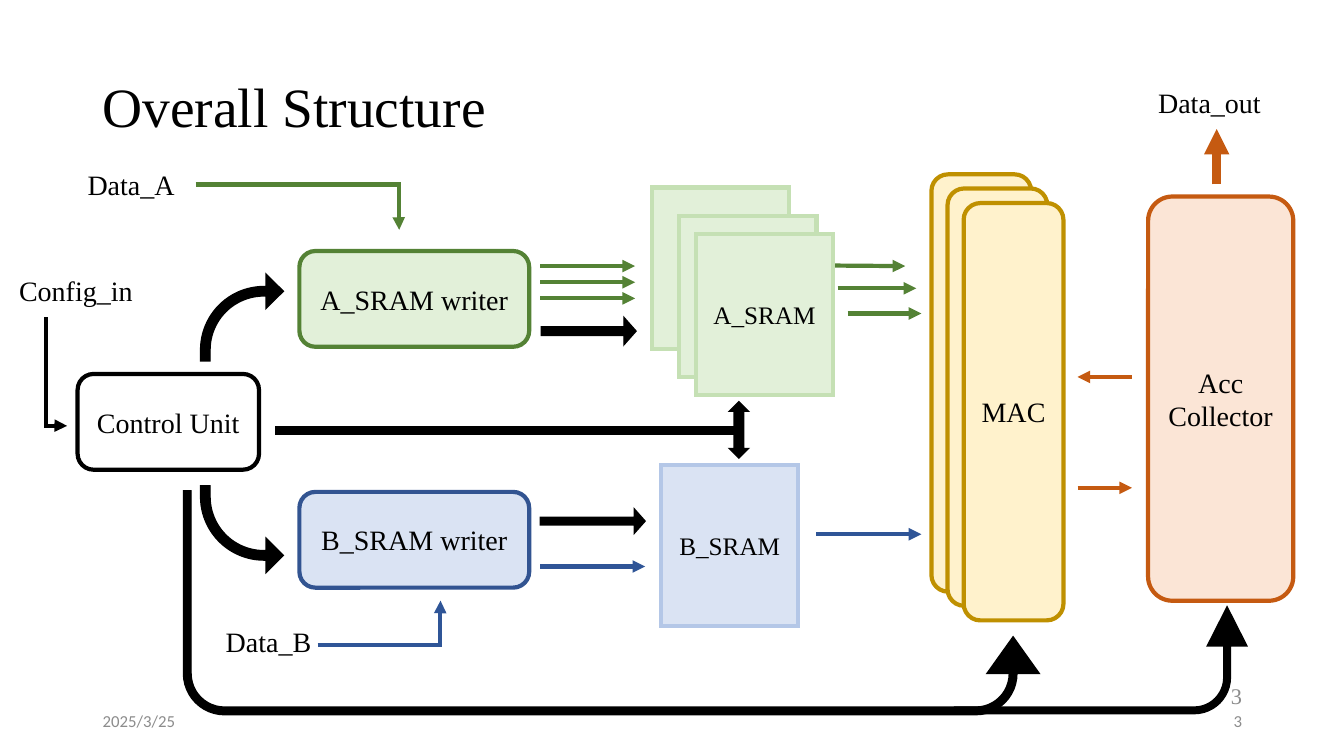
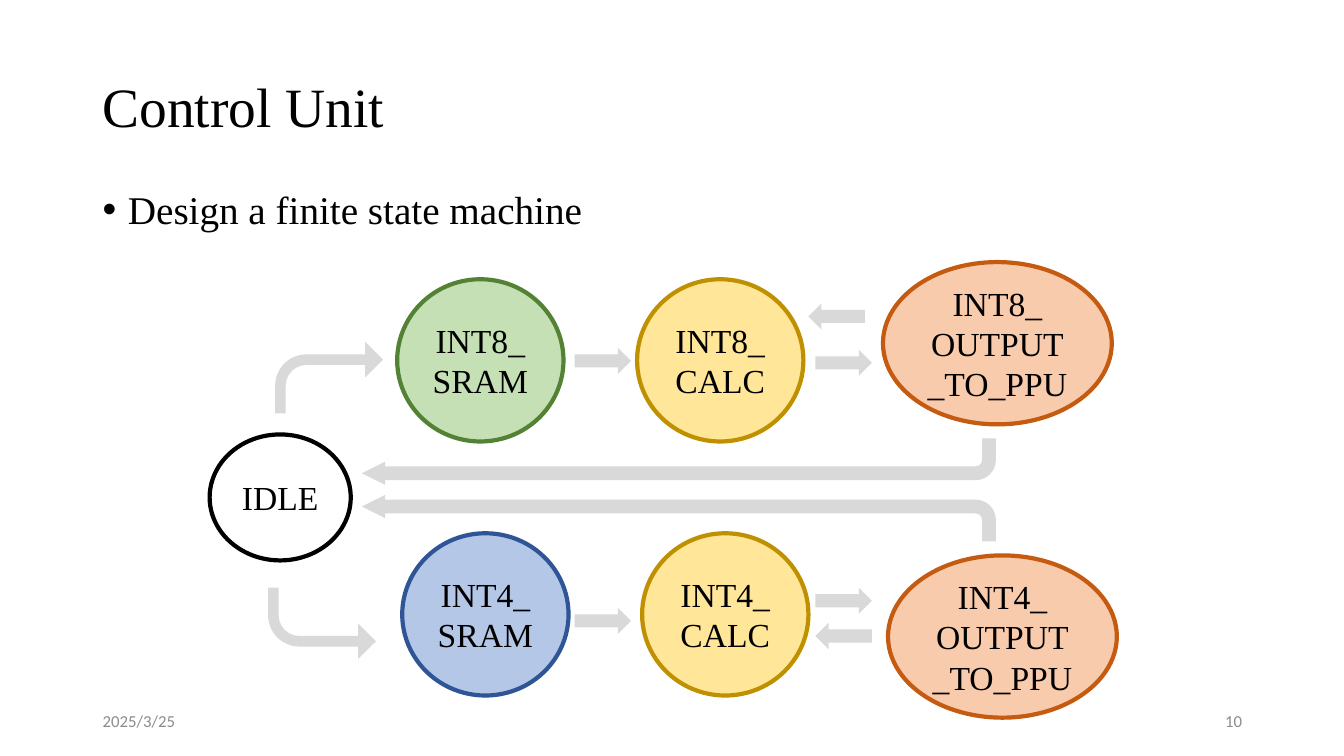
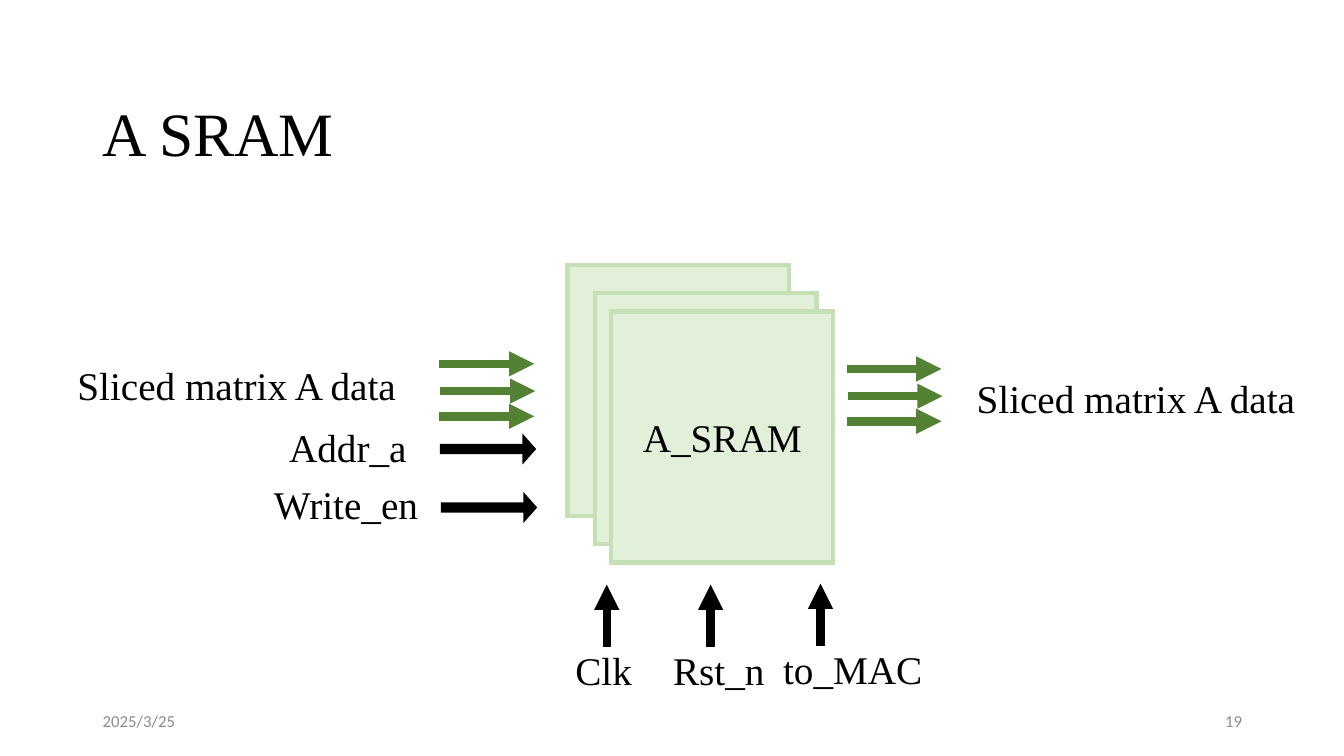
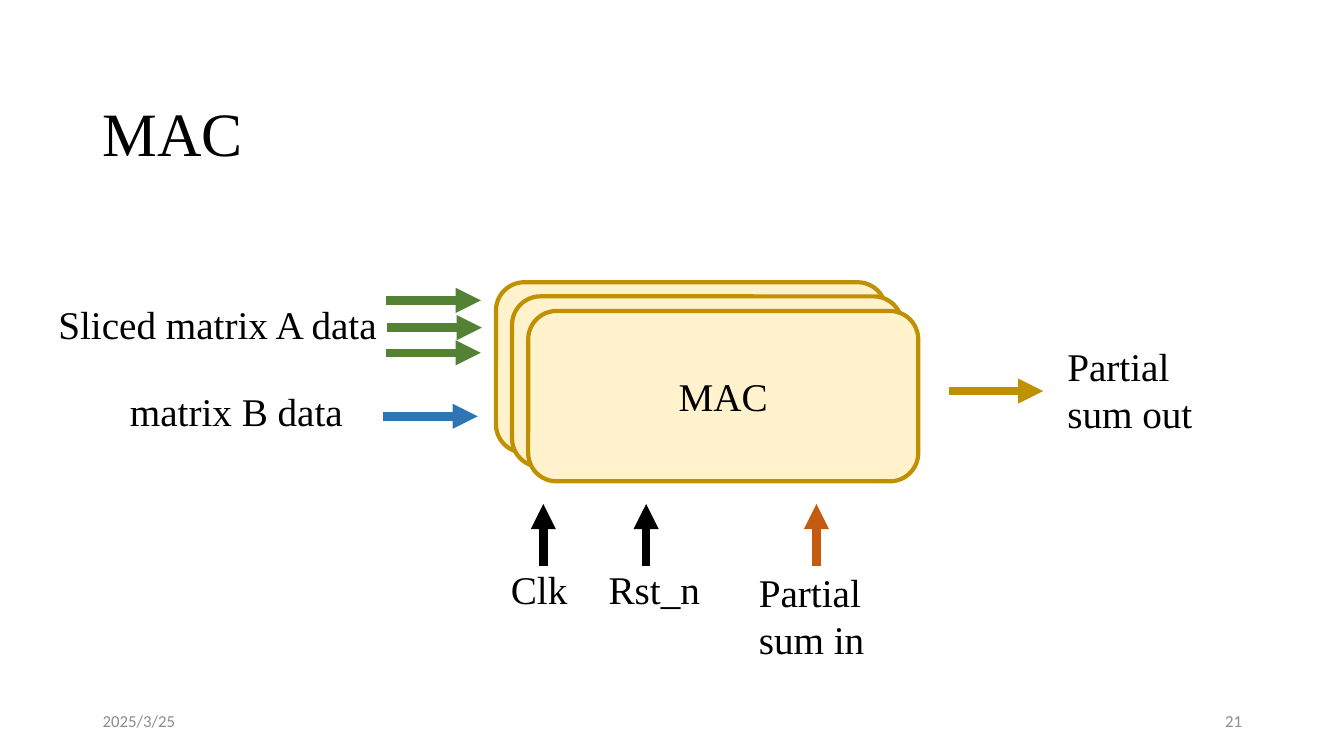
import pptx
import pptx.dml.color
import pptx.enum.shapes
import pptx.enum.text
import pptx.oxml
import pptx.oxml.ns
import pptx.util

KIND = pptx.enum.shapes.MSO_SHAPE
ALIGN = pptx.enum.text.PP_ALIGN
ANCHOR = pptx.enum.text.MSO_ANCHOR
color = pptx.dml.color.RGBColor.from_string

# The slide is a grid of square cells: 133.33 columns by 75 rows.
CELL = pptx.util.Inches(0.1)
COLUMNS, ROWS = 133.33, 75

SERIF, SANS = "Times New Roman", "Calibri"
BLACK, WHITE, GRAY, SILVER = "000000", "FFFFFF", "8C8C8C", "D9D9D9"
GREEN, GREEN_MID, GREEN_PALE = "548235", "C5E0B4", "E2F0D9"
BLUE, BLUE_MID, BLUE_PALE = "2F5597", "B4C7E7", "DAE3F3"
GOLD, GOLD_MID, GOLD_PALE = "BF9000", "FFE699", "FFF2CC"
ORANGE, ORANGE_MID, ORANGE_PALE = "C55A11", "F8CBAD", "FBE5D6"
BRIGHT_BLUE = "2E75B6"


def add_item(slide, kind, box, text="", size=20, fill=None, line=None, line_width=3,
             adjust=(), rotation=0, flip=None, ink=BLACK, font=SERIF,
             align=None, anchor=ANCHOR.MIDDLE, spacing=None):
    """Add a preset shape, or a text box if kind is None.

    box is left, top, width, height in cells; adjust is in percent;
    flip is "flipH" or "flipV".
    """
    place = [round(value * CELL) for value in box]
    if kind is None:
        shape = slide.shapes.add_textbox(*place)
    else:
        shape = slide.shapes.add_shape(kind, *place)
        shape.shadow.inherit = False
        shape.fill.solid()
        shape.fill.fore_color.rgb = color(fill)
        if line:
            shape.line.color.rgb = color(line)
            shape.line.width = pptx.util.Pt(line_width)
            miter = pptx.oxml.ns.qn("a:miter")
            shape.line._ln.append(shape.line._ln.makeelement(miter, {"lim": "800000"}))
        else:
            shape.line.fill.background()
        for index, percent in enumerate(adjust):
            shape.adjustments[index] = percent / 100
        shape.rotation = rotation
        if flip:
            shape._element.spPr.xfrm.set(flip, "1")
        align = ALIGN.CENTER
    frame = shape.text_frame
    frame.word_wrap = True
    frame.vertical_anchor = anchor
    for index, words in enumerate(text.split("\n") if text else []):
        paragraph = frame.add_paragraph() if index else frame.paragraphs[0]
        paragraph.alignment = align
        paragraph.line_spacing = spacing
        run = paragraph.add_run()
        run.text = words
        run.font.size = pptx.util.Pt(size)
        run.font.name = font
        run.font.color.rgb = color(ink)
    return shape


def add_arrow(slide, start, end, ink, width=3, bent=False, rotation=0):
    """Add a connector with an arrowhead; a bent one turns at its far end."""
    connectors = pptx.enum.shapes.MSO_CONNECTOR
    connector = slide.shapes.add_connector(
        connectors.ELBOW if bent else connectors.STRAIGHT,
        *[round(value * CELL) for value in (*start, *end)])
    connector.line.color.rgb = color(ink)
    connector.line.width = pptx.util.Pt(width)
    properties = connector._element.spPr
    qn = pptx.oxml.ns.qn
    line = connector.line._ln
    line.append(line.makeelement(qn("a:miter"), {"lim": "800000"}))
    line.append(line.makeelement(qn("a:tailEnd"), {"type": "triangle"}))
    properties.append(properties.makeelement(qn("a:effectLst"), {}))
    if bent:
        guides = properties.find(qn("a:prstGeom")).get_or_add_avLst()
        guides.append(guides.makeelement(qn("a:gd"), {"name": "adj1", "fmla": "val 99800"}))
    if rotation:
        properties.xfrm.set("rot", str(rotation * 60000))


presentation = pptx.Presentation()
presentation.slide_width = round(COLUMNS * CELL)
presentation.slide_height = ROWS * CELL

# Title, date and page number of every slide
MARGIN, PAGE_LEFT, FOOTER_TOP = 9.2, 94.2, 69.5
slides = []
for title, title_height, title_size, page in [
    ("Overall Structure", 9.5, 39.6, "3"),
    ("Control Unit", 9.5, 39.6, "10"),
    ("A SRAM", 14.5, 44, "19"),
    ("MAC", 14.5, 44, "21"),
]:
    slide = presentation.slides.add_slide(presentation.slide_layouts[6])
    slides.append(slide)
    add_item(slide, None, (MARGIN, 4, 115, title_height), title, title_size, spacing=1.5)
    add_item(slide, None, (MARGIN, FOOTER_TOP, 30, 4), "2025/3/25", 12, ink=GRAY, font=SANS)
    add_item(slide, None, (PAGE_LEFT, FOOTER_TOP, 30, 4), page, 12, ink=GRAY, font=SANS,
             align=ALIGN.RIGHT)
overall, control, sram, mac = slides

# Arrows that start behind the stacked cards
for start, end in [((76.8, 26.3), (89.8, 26.4)),
                   ((83.1, 28.6), (90.9, 28.6)),
                   ((84.1, 31.1), (91.4, 31.1))]:
    add_arrow(overall, start, end, GREEN)

# Stacks of three cards, the label on the front one
SRAM_STYLE = (KIND.RECTANGLE, GREEN_PALE, GREEN_MID, [(0, 0), (2.7, 2.8), (4.35, 4.6)])
MAC_STYLE = (KIND.ROUNDED_RECTANGLE, GOLD_PALE, GOLD, [(0, 0), (1.6, 1.4), (3.2, 2.85)])
for slide, style, left, top, width, height, label, size in [
    (overall, SRAM_STYLE, 64.7, 18.6, 13.6, 16, "A_SRAM", 18),
    (overall, MAC_STYLE, 92.4, 17.3, 9.9, 41.4, "MAC", 20),
    (sram, SRAM_STYLE, 56.3, 26.3, 22, 24.9, "A_SRAM", 28),
    (mac, MAC_STYLE, 49.2, 28, 38.7, 16.9, "MAC", 28),
]:
    kind, fill, line, offsets = style
    for right, down in offsets:
        text = label if (right, down) == offsets[-1] else ""
        add_item(slide, kind, (left + right, top + down, width, height), text, size, fill, line)

# Overall structure: blocks
add_item(overall, None, (PAGE_LEFT, 67, 30, 4), "3", 16, ink=GRAY, align=ALIGN.RIGHT)
for box, label, fill, line in [
    ((7.7, 37.1, 18, 9.5), "Control Unit", WHITE, BLACK),
    ((29.7, 24.9, 22.8, 9.5), "A_SRAM writer", GREEN_PALE, GREEN),
    ((29.7, 48.8, 22.8, 9.5), "B_SRAM writer", BLUE_PALE, "325491"),
    ((113.9, 19.5, 14.4, 40.1), "Acc Collector", ORANGE_PALE, ORANGE),
]:
    add_item(overall, KIND.ROUNDED_RECTANGLE, box, label, 20, fill, line)
add_item(overall, KIND.RECTANGLE, (65.6, 46.1, 13.6, 16), "B_SRAM", 18, BLUE_PALE, BLUE_MID)

# Overall structure: black control paths
CURVE = (11.4, 20.7, 20.7, 76.6)
SLIM = (31.9, 44.3)
for kind, box, adjust, rotation, flip in [
    (KIND.BENT_ARROW, (19.9, 27.2, 8.2, 8.6), CURVE, 0, None),
    (KIND.BENT_ARROW, (19.9, 48.2, 8.2, 8.6), CURVE, 0, "flipV"),
    (KIND.RIGHT_ARROW, (53.7, 31.5, 9.4, 2.7), SLIM, 0, None),
    (KIND.RIGHT_ARROW, (53.6, 50.5, 10.4, 2.4), SLIM, 0, None),
    (KIND.LEFT_RIGHT_ARROW, (70.5, 41.7, 5.6, 1.9), (), 90, None),
    (KIND.RECTANGLE, (27.4, 42.3, 45.6, 0.8), (), 0, None),
    (KIND.U_TURN_ARROW, (18.2, 48.7, 84.9, 22.2), (3.4, 11.7, 16.4, 43.8, 34.8), 180, "flipH"),
    (KIND.BENT_ARROW, (103.9, 51, 10.6, 29), (6.2, 18.5, 36.5, 33.9), 90, "flipH"),
]:
    add_item(overall, kind, box, fill=BLACK, line=BLACK, line_width=1,
             adjust=adjust, rotation=rotation, flip=flip)

# Overall structure: data arrows
for row in (26.4, 28, 29.6):
    add_arrow(overall, (53.6, row), (63, row), GREEN)
for start, end, ink, width in [
    ((53.6, 56.2), (64, 56.2), BLUE, 3),
    ((81, 53), (91.4, 53), BLUE, 3),
    ((106.9, 48.4), (112.3, 48.4), ORANGE, 3),
    ((112.3, 37.4), (106.9, 37.4), ORANGE, 3),
    ((120.7, 18.3), (120.7, 12.8), ORANGE, 6),
]:
    add_arrow(overall, start, end, ink, width)
add_arrow(overall, (19.4, 18.3), (39.6, 22.8), GREEN, bent=True)
add_arrow(overall, (31.5, 64), (43.7, 59.6), BLUE, bent=True)
add_arrow(overall, (11, 35.8), (0.2, 37.9), BLACK, bent=True, rotation=270)

# Control unit: the bullet line
body = add_item(control, None, (MARGIN, 15.6, 118.8, 51.9), "Design a finite state machine", 28,
                anchor=ANCHOR.TOP, spacing=1.5)
paragraph = body.text_frame.paragraphs[0]
paragraph.space_before = pptx.util.Pt(10)
settings = paragraph._p.get_or_add_pPr()
indent = round(2.5 * CELL)
settings.set("marL", str(indent))
settings.set("indent", str(-indent))
for tag, values in [("a:buFont", {"typeface": "Arial"}), ("a:buChar", {"char": "•"})]:
    settings.append(settings.makeelement(pptx.oxml.ns.qn(tag), values))

# Control unit: states
add_item(control, KIND.OVAL, (20.8, 43.1, 14, 12.5), "IDLE", 24, WHITE, BLACK)
for mode, left, top, output_top, fill, line in [
    ("INT8_", 39.4, 27.7, 26, GREEN_MID, GREEN),
    ("INT4_", 39.9, 52.9, 55.1, BLUE_MID, BLUE),
]:
    add_item(control, KIND.OVAL, (left, top, 16.5, 16.1), mode + "SRAM", 24, fill, line)
    add_item(control, KIND.OVAL, (left + 23.8, top, 16.5, 16.1), mode + "CALC", 24, GOLD_MID, GOLD)
    add_item(control, KIND.OVAL, (left + 48.2, output_top, 22.7, 16.1),
             mode + "\nOUTPUT_TO_PPU", 24, ORANGE_MID, ORANGE)

# Control unit: transitions
ELBOW = (14.8, 25, 25, 43.8)
RETURN = (29.8, 25, 50, 43.8)
for box, adjust, rotation, flip in [
    ((27.3, 33.9, 10.7, 7.1), ELBOW, 0, None),
    ((26.6, 58.3, 10.7, 7.1), ELBOW, 0, "flipV"),
    ((35.9, 43.5, 62.9, 4.6), RETURN, 180, None),
    ((35.9, 49.1, 62.9, 4.6), RETURN, 180, "flipV"),
]:
    add_item(control, KIND.BENT_ARROW, box, fill=SILVER, adjust=adjust,
             rotation=rotation, flip=flip)
for left, top, flip in [
    (57, 34.5, None), (80.9, 34.7, None), (57, 60.3, None), (80.9, 58.3, None),
    (80.2, 30.1, "flipH"), (80.9, 61.8, "flipH"),
]:
    add_item(control, KIND.RIGHT_ARROW, (left, top, 5.6, 2.6), fill=SILVER, flip=flip)

# A SRAM and MAC: signal arrows
for slide, left, top in [(sram, 43.6, 36.1), (sram, 84, 36.6), (mac, 38.3, 29.8)]:
    for right, down in [(0, 0), (0.1, 2.7), (0, 5.2)]:
        add_arrow(slide, (left + right, top + down), (left + right + 9.4, top + down), GREEN, 6)
for left, top in [(43.7, 43.2), (43.8, 49)]:
    add_item(sram, KIND.RIGHT_ARROW, (left, top, 9.4, 2.7), fill=BLACK, line=BLACK,
             line_width=1, adjust=SLIM)
for left, row, ink in [(38, 41.3, BRIGHT_BLUE), (94.1, 38.8, GOLD)]:
    add_arrow(mac, (left, row), (left + 9.4, row), ink, 6)
for slide, column, bottom, ink in [
    (sram, 60.2, 64.2, BLACK), (sram, 70.5, 64.2, BLACK), (sram, 81.4, 64.1, BLACK),
    (mac, 53.9, 56.2, BLACK), (mac, 64.1, 56.2, BLACK), (mac, 81, 56.2, ORANGE),
]:
    add_arrow(slide, (column, bottom), (column, bottom - 6.2), ink, 6)

# Signal names
for slide, size, height, labels in [
    (overall, 20, 4.4, [("Data_A", 7.7, 16.1, 11.7), ("Data_B", 21.4, 61.5, 10.8),
                        ("Data_out", 113.9, 8, 14.2), ("Config_in", 0.9, 26.6, 14.5)]),
    (sram, 28, 5.7, [("Sliced matrix A data", 6.7, 35.4, 36.1), ("Addr_a", 27.7, 41.5, 18.6),
                     ("Write_en", 26.2, 47.2, 18.6), ("Clk", 56.1, 63.6, 8.6),
                     ("Rst_n", 65.8, 63.6, 12.4), ("to_MAC", 76.7, 63.5, 16.2),
                     ("Sliced matrix A data", 95.9, 36.6, 36.1)]),
    (mac, 28, 5.7, [("Sliced matrix A data", 4.8, 29.3, 36.1), ("matrix B data", 11.9, 37.9, 25.3),
                    ("Clk", 49.7, 55.6, 8.6), ("Rst_n", 59.4, 55.6, 12.4)]),
    (mac, 28, 10.4, [("Partial sum in", 74.3, 55.9, 14.7), ("Partial sum out", 104.9, 33.5, 17.4)]),
]:
    for label, left, top, width in labels:
        add_item(slide, None, (left, top, width, height), label, size, anchor=ANCHOR.TOP)

presentation.save("out.pptx")
